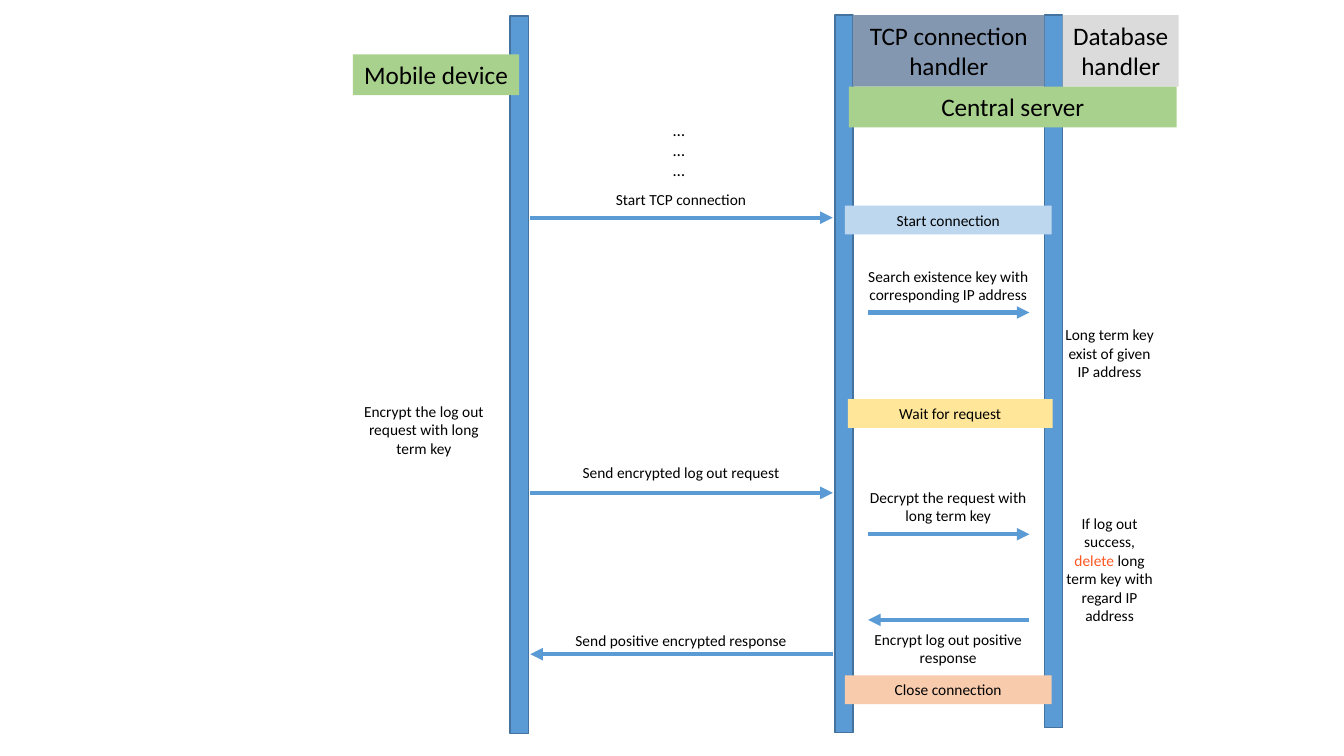
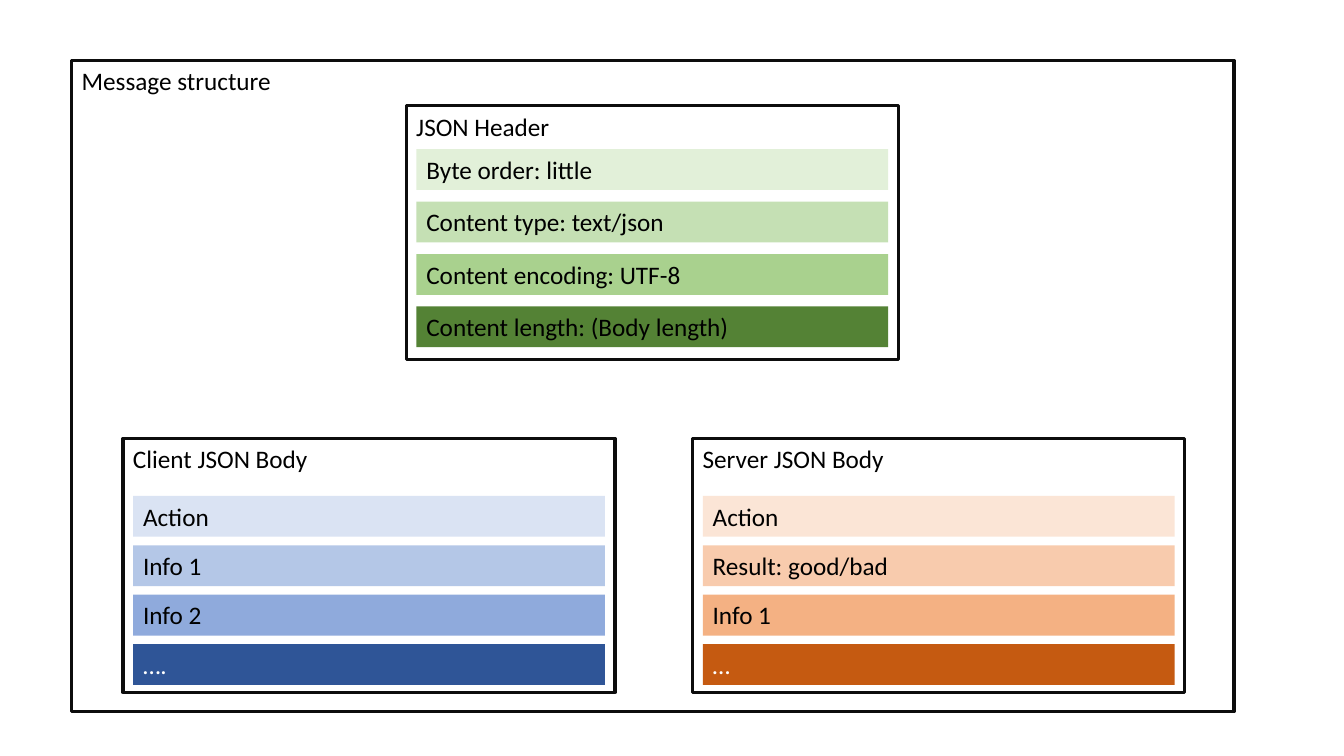
from dataclasses import dataclass
from pptx import Presentation
from pptx.dml.color import RGBColor as Rgb
from pptx.enum.shapes import MSO_CONNECTOR as Link, MSO_SHAPE as Form
from pptx.enum.text import MSO_ANCHOR as Anchor, MSO_AUTO_SIZE as Fit, PP_ALIGN as Align
from pptx.oxml.ns import qn
from pptx.util import Inches, Pt
from lxml.etree import SubElement


@dataclass(frozen=True)
class Theme:
    font: str = "Calibri"
    ink: str = "000000"
    pale: str = "FFFFFF"
    frame: str = "0D0D0D"
    blue: str = "5B9BD5"
    edge: str = "43739E"
    green: str = "A9D18E"
    slate: str = "8497B0"
    gray: str = "DBDBDB"
    sky: str = "BDD7EE"
    sand: str = "FFE699"
    peach: str = "F8CBAD"
    alert: str = "FF5721"
    head: int = 18
    dots: int = 12
    note: int = 11
    leading: float = 1.22
    pad: float = 0.05


T = Theme()
WIDE, HIGH = 13.33, 7.5

LANES = [(5.06, 0.16, 7.12), (8.28, 0.15, 7.12), (10.36, 0.15, 7.07)]
LANE = 0.18
SPANS = {
    "phone": (3.5, 1.41),
    "link": (5.14, 3.23),
    "inner": (8.38, 2.05),
    "wait": (8.41, 2.03),
    "data": (10.46, 1.09),
}
NOTES = [
    ("link", 1.84, 1, "Start TCP connection"),
    ("inner", 2.6, 2, "Search existence key with corresponding IP address"),
    ("data", 3.18, 3, "Long term key exist of given IP address"),
    ("phone", 3.94, 3, "Encrypt the log out request with long term key"),
    ("link", 4.55, 1, "Send encrypted log out request"),
    ("inner", 4.79, 2, "Decrypt the request with long term key"),
    ("data", 5.05, 6, [("If log out success, ", T.ink), ("delete", T.alert),
                       (" long term key with regard IP address", T.ink)]),
    ("inner", 6.2, 2, "Encrypt log out positive response"),
    ("link", 6.21, 1, "Send positive encrypted response"),
]
STATES = [
    ("inner", 2.04, "Start connection", T.sky),
    ("wait", 3.96, "Wait for request", T.sand),
    ("inner", 6.7, "Close connection", T.peach),
]
ARROWS = [
    ("link", 2.16, True), ("inner", 3.1, True), ("link", 4.89, True),
    ("inner", 5.3, True), ("inner", 6.15, False), ("link", 6.49, False),
]
ENDS = {"link": (5.26, 8.26), "inner": (8.61, 10.21)}
HEADS = [
    (3.5, 0.54, 1.65, 1, "Mobile device", T.green),
    (8.46, 0.15, 1.9, 2, "TCP connection\nhandler", T.slate),
    (10.54, 0.15, 1.15, 2, "Database\nhandler", T.gray),
    (8.42, 0.86, 3.25, 1, "Central server", T.green),
]

TITLE = ("Message structure", (0.71, 0.6, 11.53, 6.46))
PANEL = (4.88, 2.52)
INSET = 0.1
PANELS = [
    ("JSON Header", 4.03, 1.05, 0.43, 0.52, [
        ("Byte order: little", "E2F0D9", T.ink),
        ("Content type: text/json", "C5E0B4", T.ink),
        ("Content encoding: UTF-8", T.green, T.ink),
        ("Content length: (Body length)", "548235", T.ink)]),
    ("Client JSON Body", 1.22, 4.35, 0.57, 0.49, [
        ("Action", "DAE3F3", T.ink),
        ("Info 1", "B4C7E7", T.ink),
        ("Info 2", "8FAADC", T.ink),
        ("….", "2F5597", T.pale)]),
    ("Server JSON Body", 6.87, 4.35, 0.57, 0.49, [
        ("Action", "FBE5D6", T.ink),
        ("Result: good/bad", T.peach, T.ink),
        ("Info 1", "F4B183", T.ink),
        ("…", "C55A11", T.pale)]),
]


def tall(rows, size):
    return rows * size * T.leading / 72 + 2 * T.pad


def paint(shape, fill=None, line=None, width=1):
    if fill:
        shape.fill.solid()
        shape.fill.fore_color.rgb = Rgb.from_string(fill)
    else:
        shape.fill.background()
    if line:
        shape.line.color.rgb = Rgb.from_string(line)
        shape.line.width = Pt(width)
    else:
        shape.line.fill.background()


def write(shape, text, size, align=Align.CENTER, ink=T.ink, wrap=True):
    frame = shape.text_frame
    frame.auto_size = Fit.NONE
    frame.word_wrap = wrap
    frame.vertical_anchor = Anchor.TOP
    if isinstance(text, str):
        frame.text = text
    else:
        for part, tint in text:
            run = frame.paragraphs[0].add_run()
            run.text = part
            run.font.color.rgb = Rgb.from_string(tint)
    for para in frame.paragraphs:
        para.alignment = align
        para.font.name = T.font
        para.font.size = Pt(size)
        para.font.color.rgb = Rgb.from_string(ink)


def rect(host, box, fill=None, line=None, width=1):
    shape = host.add_shape(Form.RECTANGLE, *map(Inches, box))
    shape.shadow.inherit = False
    paint(shape, fill, line, width)
    return shape


def label(host, box, text, size, wrap=True):
    write(host.add_textbox(*map(Inches, box)), text, size, wrap=wrap)


def arrow(host, start, end, y):
    line = host.add_connector(Link.STRAIGHT, *map(Inches, (start, y, end, y)))
    line.line.color.rgb = Rgb.from_string(T.blue)
    line.line.width = Pt(3)
    SubElement(line.line._get_or_add_ln(), qn("a:tailEnd"), type="triangle")
    SubElement(line._element.spPr, qn("a:effectLst"))


def flow(deck):
    host = deck.slides.add_slide(deck.slide_layouts[6]).shapes
    for x, y, high in LANES:
        rect(host, (x, y, LANE, high), T.blue, T.edge)
    label(host, (6.57, 1.14, 0.33, tall(3, T.dots)), "…\n…\n…", T.dots, False)
    for span, y, ahead in ARROWS:
        ends = ENDS[span] if ahead else ENDS[span][::-1]
        arrow(host, *ends, y)
    for span, y, text, fill in STATES:
        x, wide = SPANS[span]
        write(rect(host, (x, y, wide, tall(1, T.note)), fill), text, T.note)
    for span, y, rows, text in NOTES:
        x, wide = SPANS[span]
        label(host, (x, y, wide, tall(rows, T.note)), text, T.note)
    for x, y, wide, rows, text, fill in HEADS:
        box = rect(host, (x, y, wide, tall(rows, T.head)), fill)
        write(box, text, T.head, wrap=rows > 1 or wide > 2)


def layers(deck):
    host = deck.slides.add_slide(deck.slide_layouts[5]).shapes
    text, box = TITLE
    title = host.title
    title.left, title.top, title.width, title.height = map(Inches, box)
    paint(title, line=T.frame, width=2.25)
    write(title, text, T.head, Align.LEFT)
    for name, x, y, first, pitch, rows in PANELS:
        group = host.add_group_shape().shapes
        panel = rect(group, (x, y, *PANEL), line=T.frame, width=2.25)
        write(panel, name, T.head, Align.LEFT)
        for i, (text, fill, ink) in enumerate(rows):
            box = (x + INSET, y + first + i * pitch,
                   PANEL[0] - 2 * INSET, tall(1, T.head))
            write(rect(group, box, fill), text, T.head, Align.LEFT, ink)


deck = Presentation()
deck.slide_width, deck.slide_height = Inches(WIDE), Inches(HIGH)
flow(deck)
layers(deck)
deck.save("out.pptx")
